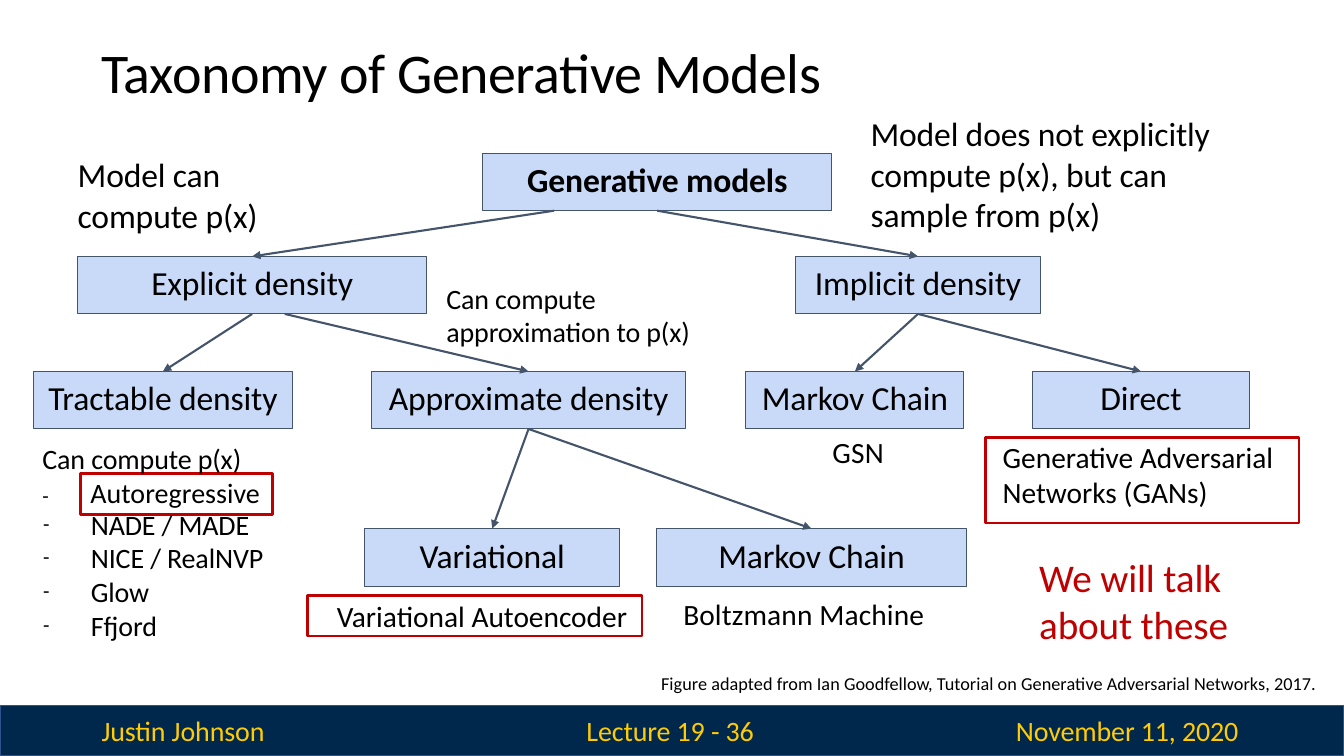
from lxml import etree
from pptx import Presentation
from pptx.dml.color import RGBColor
from pptx.enum.shapes import MSO_CONNECTOR, MSO_SHAPE
from pptx.enum.text import MSO_ANCHOR, PP_ALIGN
from pptx.oxml.ns import qn
from pptx.util import Cm, Pt

RECTANGLE = MSO_SHAPE.RECTANGLE
STRAIGHT = MSO_CONNECTOR.STRAIGHT
TOP = MSO_ANCHOR.TOP
LEFT, CENTER = PP_ALIGN.LEFT, PP_ALIGN.CENTER

SLIDE_WIDTH, SLIDE_HEIGHT = 33.87, 19.05
FONT = "Calibri"
BLACK, RED, SLATE = "000000", "C00000", "44546A"
PALE_BLUE, NAVY, NAVY_EDGE, YELLOW = "C9DAF8", "00274C", "2F528F", "FFCB05"

ROW_TOPS = [3.86, 6.46, 9.36, 13.32]
NODE_HEIGHT = 1.45

# key: (label, row, left, width)
NODES = {
    "root": ("Generative models", 0, 12.17, 8.79),
    "explicit": ("Explicit density", 1, 1.96, 8.79),
    "implicit": ("Implicit density", 1, 20.05, 6.17),
    "tractable": ("Tractable density", 2, 0.84, 6.53),
    "approximate": ("Approximate density", 2, 9.37, 7.9),
    "implicit chain": ("Markov Chain", 2, 18.8, 5.49),
    "direct": ("Direct", 2, 26.01, 5.49),
    "variational": ("Variational", 3, 9.19, 6.43),
    "approximate chain": ("Markov Chain", 3, 16.54, 7.82),
}

# parent, child, start offset from the parent's centre
BRANCHES = [
    ("root", "explicit", -2.6),
    ("root", "implicit", 0),
    ("explicit", "tractable", 0),
    ("explicit", "approximate", 0.82),
    ("implicit", "implicit chain", 0),
    ("implicit", "direct", 0),
    ("approximate", "variational", 0),
    ("approximate", "approximate chain", 0),
]

# left, top, width, size, colour, character spacing, lines
NOTES = [
    (2.56, 0.92, 20, 40, BLACK, -0.3, ["Taxonomy of Generative Models"]),
    (1.96, 3.86, 5.4, 24, BLACK, -0.1, ["Model can", "compute p(x)"]),
    (21.94, 2.82, 9.6, 24, BLACK, -0.1,
     ["Model does not explicitly", "compute p(x), but can", "sample from p(x)"]),
    (11.25, 7.06, 7, 20, BLACK, -0.1, ["Can compute", "approximation to p(x)"]),
    (1.07, 11.1, 6, 20, BLACK, -0.1, ["Can compute p(x)"]),
    (20.98, 10.92, 2, 21, BLACK, 0.1, ["GSN"]),
    (17.22, 14.99, 7, 21, BLACK, 0.1, ["Boltzmann Machine"]),
    (26.19, 13.92, 6, 28, RED, -0.1, ["We will talk", "about these"]),
    (16.66, 16.92, 17.1, 13, BLACK, 0.05,
     ["Figure adapted from Ian Goodfellow, Tutorial on Generative Adversarial Networks, 2017."]),
    (2.56, 17.96, 5, 20, YELLOW, -0.1, ["Justin Johnson"]),
    (14.78, 17.96, 5, 20, YELLOW, -0.1, ["Lecture 19 - 36"]),
    (25.6, 17.96, 6.5, 20, YELLOW, -0.1, ["November 11, 2020"]),
]

# left, top, width, height, left inset, size, lines
HIGHLIGHTS = [
    (7.75, 15.01, 8.43, 1.02, 0.74, 21, ["Variational Autoencoder"]),
    (24.84, 11.02, 7.9, 2.16, 0.43, 21, ["Generative Adversarial", "Networks (GANs)"]),
    (2.03, 11.94, 4.83, 1.02, 0.25, 20, ["Autoregressive"]),
]

TRACTABLE_MODELS = ["NADE / MADE", "NICE / RealNVP", "Glow", "Ffjord"]


def color(value):
    return RGBColor.from_string(value)


def add_run(paragraph, text, size, text_color=BLACK, spacing=0, bold=False):
    run = paragraph.add_run()
    run.text = text
    run.font.name = FONT
    run.font.size = Pt(size)
    run.font.bold = bold
    run.font.color.rgb = color(text_color)
    run.font._element.set("spc", str(round(spacing * 100)))


def prepare_frame(shape, left_inset=0.0, top_inset=0.03):
    frame = shape.text_frame
    frame.word_wrap = True
    frame.vertical_anchor = TOP
    frame.margin_left, frame.margin_top = Cm(left_inset), Cm(top_inset)
    frame.margin_right = frame.margin_bottom = 0
    return frame


def add_lines(paragraph, lines, size, text_color=BLACK, spacing=0, bold=False):
    for index, line in enumerate(lines):
        if index:
            paragraph.add_line_break()
        add_run(paragraph, line, size, text_color, spacing, bold)


def add_rectangle(slide, left, top, width, height, fill, edge, weight):
    shape = slide.shapes.add_shape(RECTANGLE, Cm(left), Cm(top), Cm(width), Cm(height))
    shape.shadow.inherit = False
    if fill:
        shape.fill.solid()
        shape.fill.fore_color.rgb = color(fill)
    else:
        shape.fill.background()
    shape.line.color.rgb = color(edge)
    shape.line.width = Pt(weight)
    return shape


def add_node(slide, key):
    label, row, left, width = NODES[key]
    shape = add_rectangle(slide, left, ROW_TOPS[row], width, NODE_HEIGHT, PALE_BLUE, SLATE, 0.75)
    paragraph = prepare_frame(shape, top_inset=0.15).paragraphs[0]
    paragraph.alignment = CENTER
    add_run(paragraph, label, 24, spacing=-0.1, bold=key == "root")


def add_branch(slide, parent, child, offset):
    _, parent_row, parent_left, parent_width = NODES[parent]
    _, child_row, child_left, child_width = NODES[child]
    connector = slide.shapes.add_connector(
        STRAIGHT,
        Cm(parent_left + parent_width / 2 + offset), Cm(ROW_TOPS[parent_row] + NODE_HEIGHT),
        Cm(child_left + child_width / 2), Cm(ROW_TOPS[child_row]),
    )
    connector.line.color.rgb = color(SLATE)
    connector.line.width = Pt(1.5)
    etree.SubElement(connector.line._get_or_add_ln(), qn("a:tailEnd"), type="triangle")
    etree.SubElement(connector._element.spPr, qn("a:effectLst"))


def add_text_box(slide, left, top, width, height):
    return prepare_frame(slide.shapes.add_textbox(Cm(left), Cm(top), Cm(width), Cm(height)))


def add_note(slide, left, top, width, size, text_color, spacing, lines):
    height = len(lines) * size * 1.22 / 72 * 2.54
    paragraph = add_text_box(slide, left, top, width, height).paragraphs[0]
    add_lines(paragraph, lines, size, text_color, spacing)


def add_highlight(slide, left, top, width, height, inset, size, lines):
    shape = add_rectangle(slide, left, top, width, height, None, RED, 2)
    paragraph = prepare_frame(shape, inset, 0.05).paragraphs[0]
    paragraph.alignment = LEFT
    add_lines(paragraph, lines, size)


def add_model_list(slide):
    frame = add_text_box(slide, 1.07, 12.12, 6, 4.11)
    add_run(frame.paragraphs[0], "-", 15)
    for model in TRACTABLE_MODELS:
        paragraph = frame.add_paragraph()
        properties = paragraph._p.get_or_add_pPr()
        properties.set("marL", str(Cm(1.22)))
        properties.set("indent", str(-Cm(1.2)))
        etree.SubElement(properties, qn("a:buSzPct"), val="75000")
        etree.SubElement(properties, qn("a:buFont"), typeface=FONT)
        etree.SubElement(properties, qn("a:buChar"), char="-")
        add_run(paragraph, model, 20, spacing=-0.1)


def main():
    presentation = Presentation()
    presentation.slide_width = Cm(SLIDE_WIDTH)
    presentation.slide_height = Cm(SLIDE_HEIGHT)
    slide = presentation.slides.add_slide(presentation.slide_layouts[6])
    add_rectangle(slide, 0, 17.78, SLIDE_WIDTH, 1.27, NAVY, NAVY_EDGE, 1)
    for key in NODES:
        add_node(slide, key)
    for branch in BRANCHES:
        add_branch(slide, *branch)
    for highlight in HIGHLIGHTS:
        add_highlight(slide, *highlight)
    add_model_list(slide)
    for note in NOTES:
        add_note(slide, *note)
    presentation.save("out.pptx")


if __name__ == "__main__":
    main()
